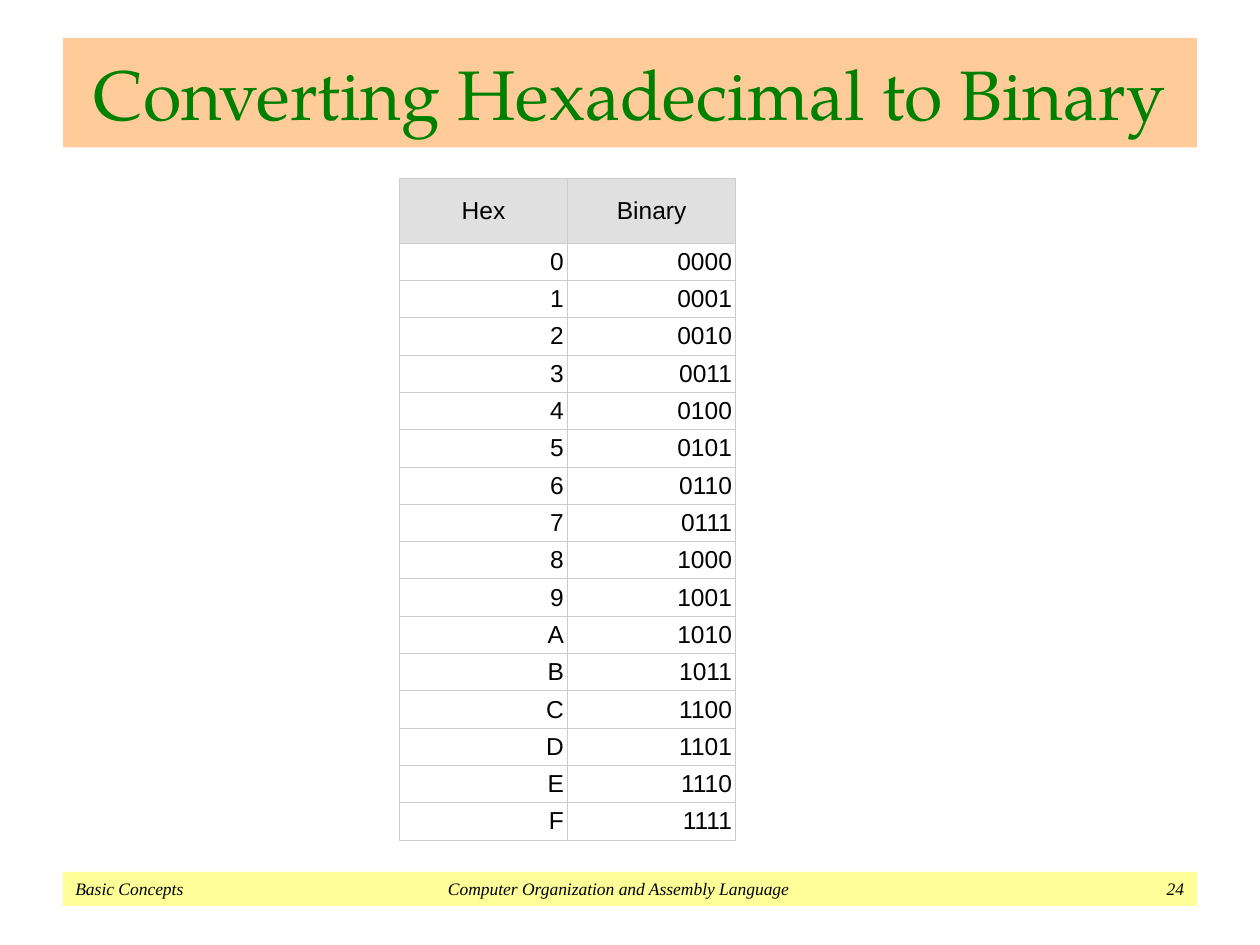
"""Build a slide with the hexadecimal to binary conversion table."""
from lxml.etree import SubElement
from pptx import Presentation
from pptx.dml.color import RGBColor
from pptx.enum.shapes import MSO_SHAPE
from pptx.enum.text import MSO_ANCHOR, PP_ALIGN
from pptx.oxml.ns import qn
from pptx.util import Inches, Pt

COLORS = {"title": "008000", "title band": "FFCC99", "footer band": "FFFF99",
          "header": "E0E0E0", "border": "CCCCCC", "text": "000000"}
FORMATS = {
    "title": {"name": "TeX Gyre Pagella", "size": Pt(40), "bold": False},
    "footer": {"name": "Times New Roman", "size": Pt(10), "italic": True},
    "cell": {"name": "Arial", "size": Pt(14), "bold": False},
}
MARGINS = ("margin_left", "margin_right", "margin_top", "margin_bottom")


def write(para, text, style, color, alignment):
    span = para.add_run()
    span.text = text
    para.alignment = alignment
    for name, value in FORMATS[style].items():
        setattr(span.font, name, value)
    span.font.color.rgb = RGBColor.from_string(COLORS[color])


def fill_solid(item, color):
    item.fill.solid()
    item.fill.fore_color.rgb = RGBColor.from_string(COLORS[color])


deck = Presentation()
deck.slide_width, deck.slide_height = Inches(10), Inches(7.5)
page = deck.slides.add_slide(deck.slide_layouts[5])

title = page.shapes.title
title.left, title.top = Inches(0.5), Inches(0.3)
title.width, title.height = Inches(9), Inches(0.87)
fill_solid(title, "title band")
title.text_frame.vertical_anchor = MSO_ANCHOR.MIDDLE
write(title.text_frame.paragraphs[0], "Converting Hexadecimal to Binary",
      "title", "title", PP_ALIGN.CENTER)

footer = page.shapes.add_shape(MSO_SHAPE.RECTANGLE, Inches(0.5), Inches(6.92),
                               Inches(9), Inches(0.27))
footer.shadow.inherit = False
footer.line.fill.background()
fill_solid(footer, "footer band")
footer.text_frame.vertical_anchor = MSO_ANCHOR.MIDDLE
footer_para = footer.text_frame.paragraphs[0]
tabs = SubElement(footer_para._p.get_or_add_pPr(), qn("a:tabLst"))
for position, alignment in ((4.31, "ctr"), (8.8, "r")):
    SubElement(tabs, qn("a:tab"), pos=str(Inches(position)), algn=alignment)
write(footer_para, "Basic Concepts\tComputer Organization and Assembly Language\t24",
      "footer", "text", PP_ALIGN.LEFT)

rows = [("Hex", "Binary")] + [(f"{n:X}", f"{n:04b}") for n in range(16)]
table = page.shapes.add_table(len(rows), 2, Inches(3.17), Inches(1.42),
                              Inches(2.67), Inches(5.25)).table
table.first_row = table.horz_banding = False
for column in table.columns:
    column.width = Inches(2.67 / 2)
for row_index, values in enumerate(rows):
    is_header = row_index == 0
    table.rows[row_index].height = Inches(0.51 if is_header else (5.25 - 0.51) / 16)
    for column_index, value in enumerate(values):
        cell = table.cell(row_index, column_index)
        cell.vertical_anchor = MSO_ANCHOR.MIDDLE
        for margin in MARGINS:
            setattr(cell, margin, Inches(0.03))
        for side in ("lnL", "lnR", "lnT", "lnB"):
            border = SubElement(cell._tc.get_or_add_tcPr(), qn(f"a:{side}"),
                                w=str(Pt(0.6)))
            border_fill = SubElement(border, qn("a:solidFill"))
            SubElement(border_fill, qn("a:srgbClr"), val=COLORS["border"])
        if is_header:
            fill_solid(cell, "header")
        else:
            cell.fill.background()
        write(cell.text_frame.paragraphs[0], value, "cell", "text",
              PP_ALIGN.CENTER if is_header else PP_ALIGN.RIGHT)

deck.save("out.pptx")
